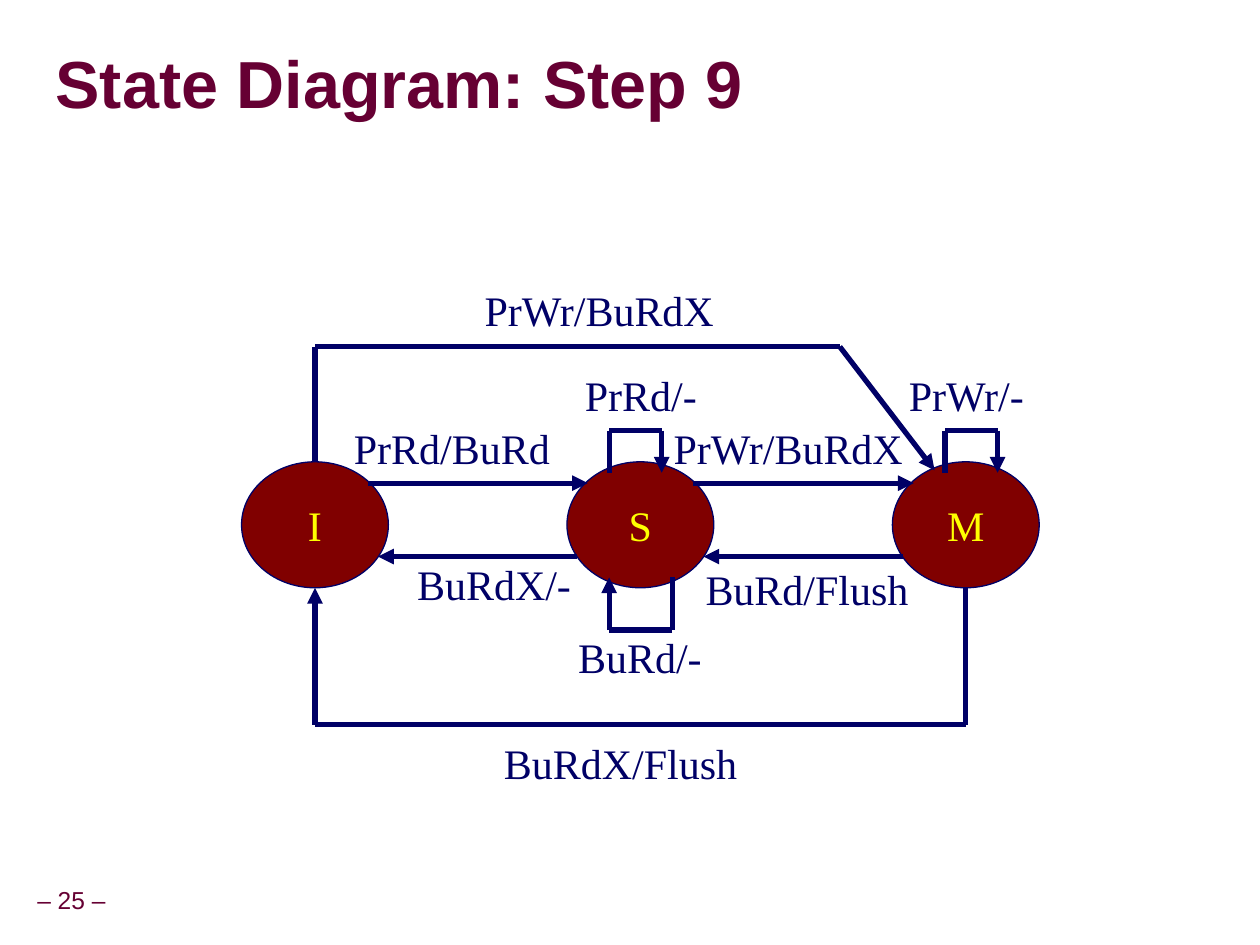
"""Build the cache coherence state diagram slide."""
from dataclasses import dataclass

from lxml import etree
from pptx import Presentation
from pptx import util as u
from pptx.dml.color import RGBColor
from pptx.enum import shapes, text
from pptx.oxml.ns import qn

TITLE = "State Diagram: Step 9"
PAGE_NUMBER = "– 25 –"
STATES = ["I", "S", "M"]
TRANSITIONS = [
    [(7.41, 9.74), (11.85, 9.74)],
    [(13.97, 9.74), (18.42, 9.74)],
    [(12.28, 9.53), (12.28, 8.68), (13.34, 8.68), (13.34, 9.53)],
    [(19.05, 9.53), (19.05, 8.68), (20.11, 8.68), (20.11, 9.53)],
    [(6.35, 9.31), (6.35, 6.99), (16.93, 6.99), (18.84, 9.48)],
    [(18.2, 11.22), (14.18, 11.22)],
    [(13.55, 11.64), (13.55, 12.7), (12.28, 12.7), (12.28, 11.64)],
    [(11.64, 11.22), (7.62, 11.22)],
    [(19.47, 11.85), (19.47, 14.61), (6.35, 14.61), (6.35, 11.85)],
]
LABELS = [
    ("PrRd/BuRd", 9.11, 8.38, 4.45),
    ("PrRd/-", 12.92, 7.32, 2.77),
    ("PrWr/BuRdX", 15.89, 8.38, 5.16),
    ("PrWr/BuRdX", 12.08, 5.61, 5.16),
    ("PrWr/-", 19.48, 7.32, 2.84),
    ("BuRd/Flush", 16.27, 11.23, 4.6),
    ("BuRd/-", 12.9, 12.6, 3.0),
    ("BuRdX/-", 9.96, 11.13, 3.61),
    ("BuRdX/Flush", 12.51, 14.73, 5.21),
]
LABEL_HEIGHT = 1.27
FIRST_X, STATE_Y, STATE_PITCH = 6.35, 10.58, 6.56
STATE_WIDTH, STATE_HEIGHT = 2.96, 2.54


@dataclass(frozen=True)
class Theme:
    heading: str = "660033"
    ink: str = "000066"
    state: str = "800000"
    state_text: str = "FFFF00"
    shadow: str = "969696"
    sans: str = "Arial"
    serif: str = "Times New Roman"
    title_size: int = 38
    label_size: int = 24
    page_size: int = 14
    arrow: float = 3
    outline: float = 0.75


THEME = Theme()


def rgb(value):
    return RGBColor.from_string(value)


def write(shape, words, *, size=THEME.label_size, font=THEME.serif, color=THEME.ink,
          bold=False, align=text.PP_ALIGN.CENTER, anchor=text.MSO_ANCHOR.TOP,
          spacing=1.0, wrap=False, inset=(0.25, 0.13)):
    frame = shape.text_frame
    frame.auto_size = text.MSO_AUTO_SIZE.NONE
    frame.word_wrap = wrap
    frame.vertical_anchor = anchor
    frame.margin_left = frame.margin_right = u.Cm(inset[0])
    frame.margin_top = frame.margin_bottom = u.Cm(inset[1])
    paragraph = frame.paragraphs[0]
    paragraph.alignment = align
    paragraph.line_spacing = spacing
    run = paragraph.add_run()
    run.text = words
    run.font.size = u.Pt(size)
    run.font.name = font
    run.font.bold = bold
    run.font.color.rgb = rgb(color)
    return run


def add_title(slide):
    title = slide.shapes.title
    title.left, title.top, title.width, title.height = map(u.Cm, (1.12, 0.69, 24.2, 2.16))
    run = write(title, TITLE, size=THEME.title_size, font=THEME.sans, color=THEME.heading,
                bold=True, align=text.PP_ALIGN.LEFT, anchor=text.MSO_ANCHOR.MIDDLE,
                spacing=0.87, wrap=True, inset=(0, 0))
    effects = etree.Element(qn("a:effectLst"))
    shadow = etree.SubElement(effects, qn("a:outerShdw"), dist="38100", dir="2700000")
    etree.SubElement(shadow, qn("a:srgbClr"), val=THEME.shadow)
    run.font.fill.solid()
    run.font.color.rgb = rgb(THEME.heading)
    run.font._element.find(qn("a:solidFill")).addnext(effects)


def add_state(slide, name, center_x):
    state = slide.shapes.add_shape(
        shapes.MSO_SHAPE.OVAL, u.Cm(center_x - STATE_WIDTH / 2),
        u.Cm(STATE_Y - STATE_HEIGHT / 2), u.Cm(STATE_WIDTH), u.Cm(STATE_HEIGHT))
    state.shadow.inherit = False
    state.fill.solid()
    state.fill.fore_color.rgb = rgb(THEME.state)
    state.line.color.rgb = rgb(THEME.ink)
    state.line.width = u.Pt(THEME.outline)
    write(state, name, color=THEME.state_text, anchor=text.MSO_ANCHOR.MIDDLE)


def add_transition(slide, points):
    for start, end in zip(points, points[1:]):
        segment = slide.shapes.add_connector(
            shapes.MSO_CONNECTOR.STRAIGHT, *map(u.Cm, start + end))
        segment.line.color.rgb = rgb(THEME.ink)
        segment.line.width = u.Pt(THEME.arrow)
        etree.SubElement(segment._element.spPr, qn("a:effectLst"))
    etree.SubElement(segment.line._get_or_add_ln(), qn("a:tailEnd"), type="triangle")


def add_text(slide, words, center_x, top, width, height=LABEL_HEIGHT, **style):
    box = slide.shapes.add_textbox(
        u.Cm(center_x - width / 2), u.Cm(top), u.Cm(width), u.Cm(height))
    write(box, words, **style)


def main():
    deck = Presentation()
    deck.slide_width, deck.slide_height = u.Cm(25.4), u.Cm(19.05)
    slide = deck.slides.add_slide(deck.slide_layouts[5])
    add_title(slide)
    add_text(slide, PAGE_NUMBER, 1.44, 17.78, 3.33, 0.79, size=THEME.page_size,
             font=THEME.sans, color=THEME.heading, spacing=0.9,
             anchor=text.MSO_ANCHOR.MIDDLE, inset=(0.13, 0.13))
    for index, name in enumerate(STATES):
        add_state(slide, name, FIRST_X + index * STATE_PITCH)
    for points in TRANSITIONS:
        add_transition(slide, points)
    for label in LABELS:
        add_text(slide, *label)
    deck.save("out.pptx")


if __name__ == "__main__":
    main()
